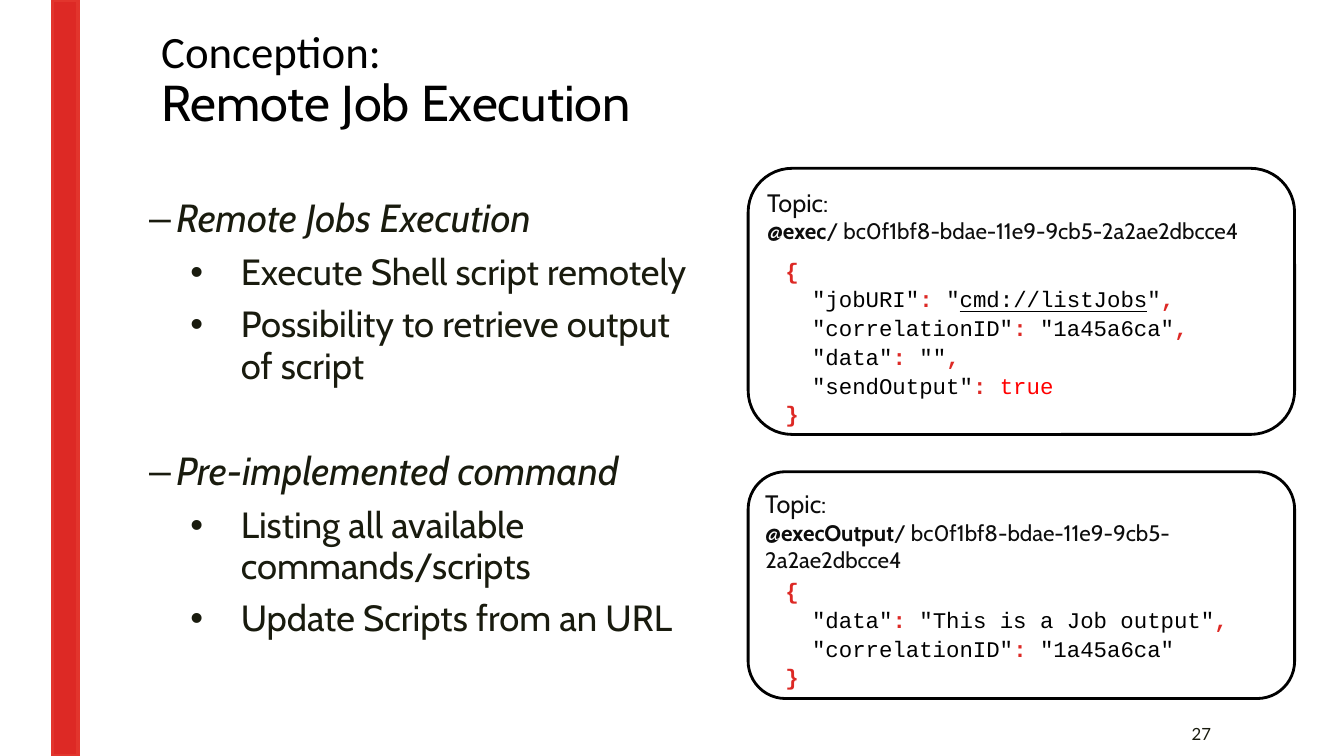
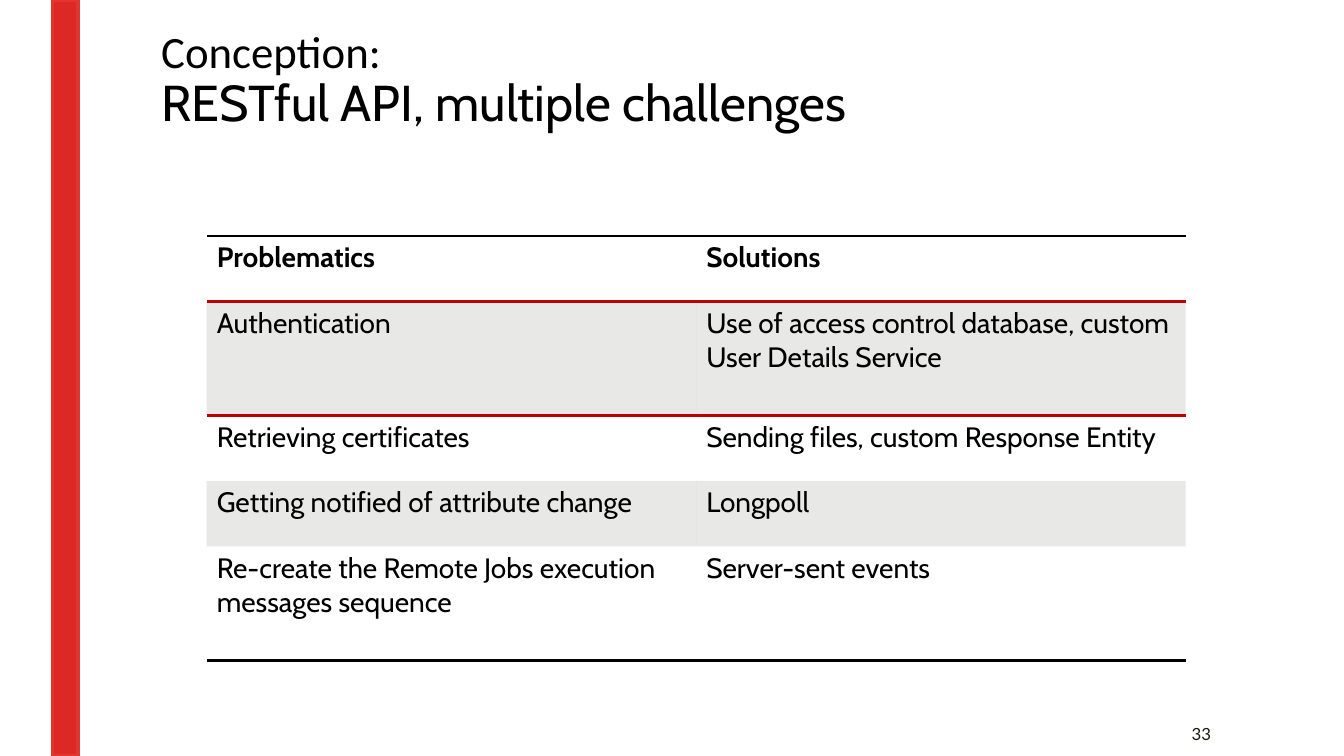
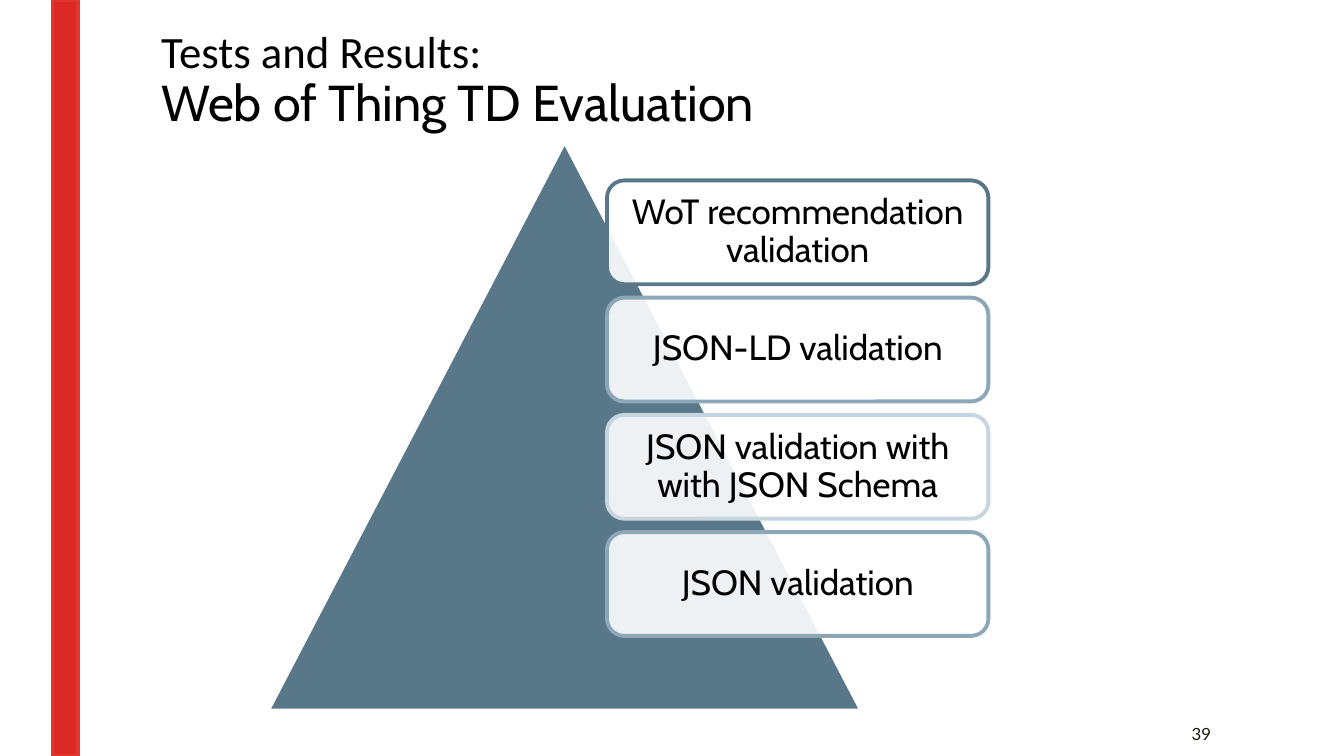
from pptx import Presentation
from pptx import util as u
from pptx.dml.color import RGBColor
from pptx.enum import shapes, text
from pptx.oxml import ns
from lxml import etree

BLACK, INK, SOFT_BLACK = "000000", "191B0E", "0D0D0D"
RED, BAND_EDGE, TRUE_RED, RULE_RED = "DD2925", "E2352D", "FF0000", "C00000"
SLATE, STEEL, MIST = "58788A", "8BA7B8", "C7D5DE"
WHITE, STRIPE = "FFFFFF", "8C8D86"
BODY, HEADING, NUMBER, MONO = "Cabin", "Calibri", "Lato", "Courier New"


def rgb(hex_color):
    return RGBColor.from_string(hex_color)


def box(left, top, width, height):
    return [u.Inches(v) for v in (left, top, width, height)]


def add_run(paragraph, words, size, color, font=BODY, **style):
    run = paragraph.add_run()
    run.text = words
    run.font.size = u.Pt(size)
    run.font.name = font
    run.font.color.rgb = rgb(color)
    for name, value in style.items():
        setattr(run.font, name, value)


def next_paragraph(frame):
    """Return the frame's untouched first paragraph, or a new one."""
    first = frame.paragraphs[0]
    return frame.add_paragraph() if first.runs else first


def text_frame(slide, area, anchor=text.MSO_ANCHOR.TOP):
    frame = slide.shapes.add_textbox(*box(*area)).text_frame
    frame.word_wrap = True
    frame.vertical_anchor = anchor
    return frame


def set_fill(fill, properties, color, opacity=100):
    """Fill with a colour; properties is the XML element that holds the fill."""
    fill.solid()
    fill.fore_color.rgb = rgb(color)
    if opacity < 100:
        solid = properties.find(ns.qn("a:solidFill"))
        etree.SubElement(solid[0], ns.qn("a:alpha"), val=str(opacity * 1000))


def add_panel(slide, kind, area, fill=None, line=None, width=2.75, opacity=100):
    panel = slide.shapes.add_shape(kind, *box(*area))
    panel.shadow.inherit = False
    if fill:
        set_fill(panel.fill, panel._element.spPr, fill, opacity)
    else:
        panel.fill.background()
    if line:
        panel.line.color.rgb = rgb(line)
        panel.line.width = u.Pt(width)
    else:
        panel.line.fill.background()
    return panel


def base_slide(deck, section, title, number):
    """Add a slide with the red band, two-line title and page number."""
    slide = deck.slides.add_slide(deck.slide_layouts[6])
    add_panel(slide, shapes.MSO_SHAPE.RECTANGLE, (0.52, 0, 0.25, 7.5), RED, BAND_EDGE)
    heading = text_frame(slide, (1.5, 0.25, 10.5, 1.15)).paragraphs[0]
    heading.line_spacing = 0.89
    add_run(heading, section, 32, BLACK, HEADING)
    heading.add_line_break()
    add_run(heading, title, 36, BLACK)
    page = text_frame(slide, (10.36, 7.06, 1.75, 0.44), text.MSO_ANCHOR.MIDDLE).paragraphs[0]
    page.alignment = text.PP_ALIGN.RIGHT
    add_run(page, str(number), 12, INK, NUMBER)
    return slide


def bullet(frame, words, mark, margin, hanging, size, before, italic=False):
    paragraph = next_paragraph(frame)
    properties = paragraph._p.get_or_add_pPr()
    properties.set("marL", str(u.Inches(margin)))
    properties.set("indent", str(-u.Inches(hanging)))
    etree.SubElement(properties, ns.qn("a:buFont"), typeface="Arial")
    etree.SubElement(properties, ns.qn("a:buChar"), char=mark)
    paragraph.line_spacing = 0.94
    paragraph.space_before = u.Pt(before)
    paragraph.space_after = u.Pt(2)
    add_run(paragraph, words, size, INK, italic=italic)


def outline(slide, area, sections):
    frame = text_frame(slide, area)
    for index, (topic, points) in enumerate(sections):
        bullet(frame, topic, "–", 0.69, 0.27, 28, 43 if index else 0, italic=True)
        for point in points:
            bullet(frame, point, "•", 1.33, 0.5, 26, 6)


def code_line(frame, *runs):
    paragraph = next_paragraph(frame)
    paragraph.line_spacing = 1.07
    for words, color, style in runs:
        add_run(paragraph, words, 16, color, MONO, **style)


def json_code(slide, area, fields):
    """Write a JSON object; each value is a list of (words, colour, style)."""
    frame = text_frame(slide, area)
    strong = {"bold": True}
    code_line(frame, ("{", RED, strong))
    for index, (key, value) in enumerate(fields):
        comma = [(",", RED, strong)] if index < len(fields) - 1 else []
        code_line(frame, (f'  "{key}"', BLACK, {}), (": ", RED, strong), *value, *comma)
    code_line(frame, ("}", RED, strong))


def message_card(slide, area, code_top, topic, fields):
    left, top, width, height = area
    card = add_panel(slide, shapes.MSO_SHAPE.ROUNDED_RECTANGLE, area, line=BLACK, width=2)
    card.adjustments[0] = 0.165
    frame = card.text_frame
    frame.word_wrap = True
    frame.vertical_anchor = text.MSO_ANCHOR.TOP
    frame.margin_left = frame.margin_right = u.Inches(0.06)
    frame.margin_top = frame.margin_bottom = u.Inches(0.06)
    label = frame.paragraphs[0]
    label.alignment = text.PP_ALIGN.LEFT
    add_run(label, "Topic: ", 18, SOFT_BLACK)
    label.add_line_break()
    add_run(label, topic, 16, SOFT_BLACK, bold=True)
    add_run(label, "/ bc0f1bf8-bdae-11e9-9cb5-2a2ae2dbcce4", 16, SOFT_BLACK)
    code_area = (left + 0.27, top + code_top, width - 0.27, height - code_top)
    json_code(slide, code_area, fields)


def set_border(properties, side, color):
    line = etree.SubElement(properties, ns.qn(f"a:ln{side}"), w=str(u.Pt(2.25)))
    if color:
        solid = etree.SubElement(line, ns.qn("a:solidFill"))
        etree.SubElement(solid, ns.qn("a:srgbClr"), val=color)
    else:
        etree.SubElement(line, ns.qn("a:noFill"))


def ruled_table(slide, area, row_heights, rules, rows):
    """Build a striped table; rules lists the line colours from top to bottom."""
    table = slide.shapes.add_table(len(rows), len(rows[0]), *box(*area)).table
    table.first_row = table.horz_banding = False
    for r, (height, row) in enumerate(zip(row_heights, rows)):
        table.rows[r].height = u.Inches(height)
        for c, words in enumerate(row):
            cell = table.cell(r, c)
            properties = cell._tc.get_or_add_tcPr()
            for side, color in zip("LRTB", (None, None, rules[r], rules[r + 1])):
                set_border(properties, side, color)
            if r % 2:
                set_fill(cell.fill, properties, STRIPE, 20)
            else:
                cell.fill.background()
            add_run(cell.text_frame.paragraphs[0], words, 20, BLACK, bold=r == 0)


def pyramid(slide, area, levels):
    left, top, width, _ = area
    add_panel(slide, shapes.MSO_SHAPE.ISOSCELES_TRIANGLE, area, SLATE)
    for index, (words, edge) in enumerate(levels):
        card_area = (left + 3.33, top + 0.34 + index * 1.163, width * 0.65, 1.03)
        card = add_panel(slide, shapes.MSO_SHAPE.ROUNDED_RECTANGLE, card_area,
                         WHITE, edge, opacity=90)
        frame = card.text_frame
        frame.word_wrap = True
        frame.margin_top = frame.margin_bottom = u.Inches(0.1)
        label = frame.paragraphs[0]
        label.alignment = text.PP_ALIGN.CENTER
        label.line_spacing = 0.9
        add_run(label, words, 25, BLACK)


def remote_jobs_slide(deck):
    slide = base_slide(deck, "Conception:", "Remote Job Execution", 27)
    outline(slide, (0.96, 1.91, 6.12, 4.6), [
        ("Remote Jobs Execution", ["Execute Shell script remotely",
                                   "Possibility to retrieve output of script"]),
        ("Pre-implemented command", ["Listing all available commands/scripts",
                                     "Update Scripts from an URL"]),
    ])
    correlation = ("correlationID", [('"1a45a6ca"', BLACK, {})])
    message_card(slide, (7.42, 1.67, 5.42, 2.64), 0.81, "@exec", [
        ("jobURI", [('"', BLACK, {}), ("cmd://listJobs", BLACK, {"underline": True}),
                    ('"', BLACK, {})]),
        correlation,
        ("data", [('""', BLACK, {})]),
        ("sendOutput", [("true", TRUE_RED, {})]),
    ])
    message_card(slide, (7.42, 4.68, 5.42, 2.25), 0.98, "@execOutput", [
        ("data", [('"This is a Job output"', BLACK, {})]),
        correlation,
    ])


def challenges_slide(deck):
    slide = base_slide(deck, "Conception:", "RESTful API, multiple challenges", 33)
    ruled_table(
        slide, (2.05, 2.34, 9.71, 4.22), (0.65, 1.13, 0.65, 0.65, 1.13),
        (BLACK, RULE_RED, RULE_RED, None, None, BLACK),
        [("Problematics", "Solutions"),
         ("Authentication", "Use of access control database, custom User Details Service"),
         ("Retrieving certificates", "Sending files, custom Response Entity"),
         ("Getting notified of attribute change", "Longpoll"),
         ("Re-create the Remote Jobs execution messages sequence", "Server-sent events")])


def evaluation_slide(deck):
    slide = base_slide(deck, "Tests and Results:", "Web of Thing TD Evaluation", 39)
    pyramid(slide, (2.69, 1.45, 5.82, 5.58), [
        ("WoT recommendation validation", SLATE),
        ("JSON-LD validation", STEEL),
        ("JSON validation with with JSON Schema", MIST),
        ("JSON validation", STEEL),
    ])


def main():
    deck = Presentation()
    deck.slide_width, deck.slide_height = u.Inches(13.33), u.Inches(7.5)
    remote_jobs_slide(deck)
    challenges_slide(deck)
    evaluation_slide(deck)
    deck.save("out.pptx")


if __name__ == "__main__":
    main()
